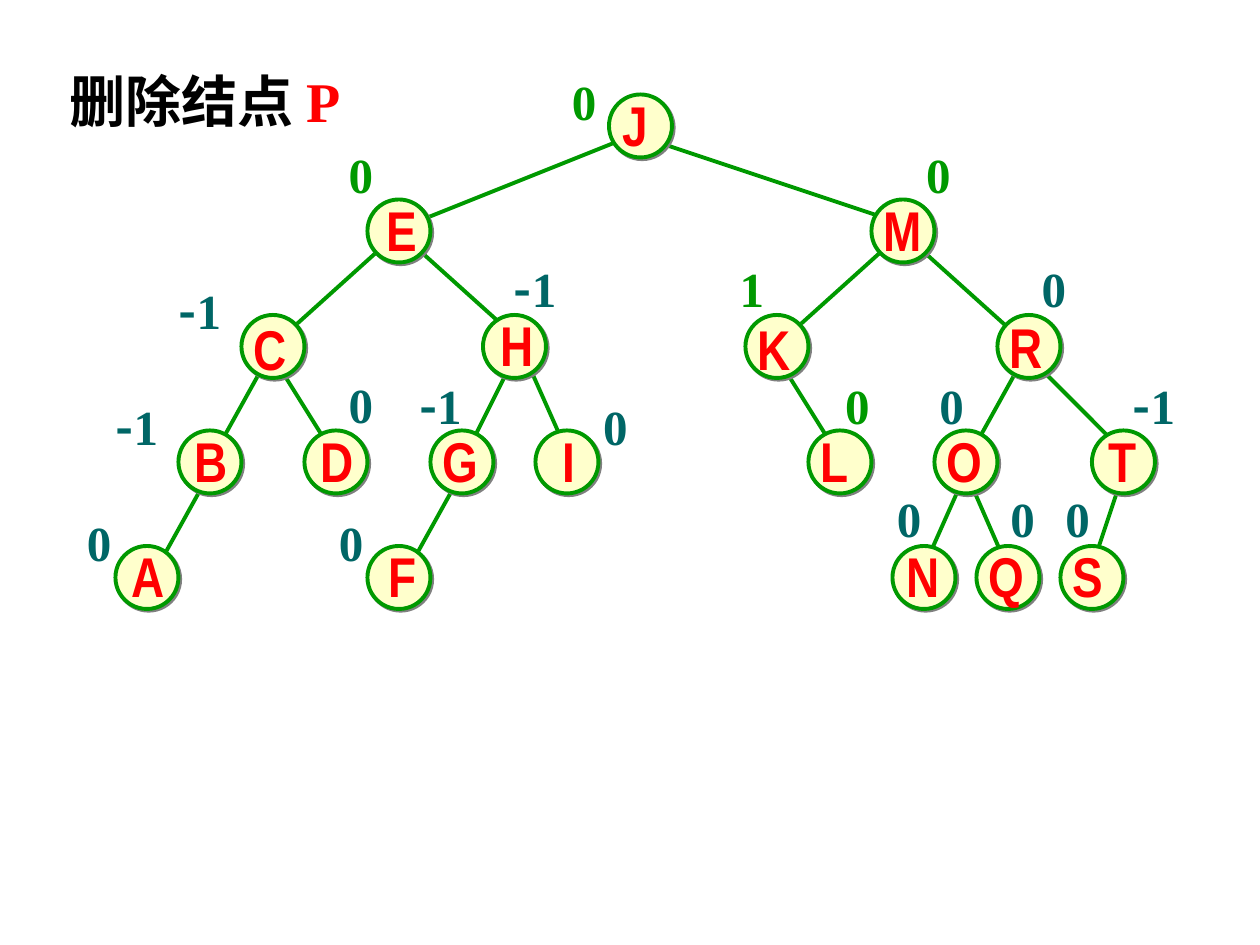
from dataclasses import dataclass

from lxml import etree
from pptx import Presentation
from pptx import util as u
from pptx.dml.color import RGBColor
from pptx.enum import shapes, text
from pptx.oxml import ns


@dataclass(frozen=True)
class Theme:
    edge: str = "009900"
    disc: str = "FFFFCC"
    shadow: str = "808080"
    letter: str = "FF0000"
    title: str = "000000"
    balanced: str = "009900"
    changed: str = "006666"
    serif: str = "Times New Roman"
    narrow: str = "Arial Narrow"
    cjk: str = "Noto Sans CJK SC"
    large: int = 32
    small: int = 28
    stroke: float = 2.25


@dataclass(frozen=True)
class Node:
    """Centre in grid units; balance label position and letter nudge in cm."""
    letter: str
    x: int
    level: int
    balance: str
    balance_at: tuple
    nudge: tuple = (0, 0)
    color: str = Theme.changed


THEME = Theme()
UNIT = 2.54 / 12  # the tree sits on a grid of twelfths of an inch
RADIUS = 3
LEVELS = (12, 22, 33, 44, 55)
LETTER_WIDTHS = {"E": 1.12, "F": 1.07, "G": 1.22, "I": 0.76, "J": 1.02, "L": 1.07,
                 "M": 1.27, "O": 1.22, "Q": 1.22, "S": 1.12, "T": 1.07}
BALANCE_WIDTHS = {"0": 0.99, "1": 0.99, "-1": 1.6}
GREEN = THEME.balanced

NODES = (
    Node("A", 14, 4, "0", (1.5, 10.21), (0.08, 0)),
    Node("B", 20, 3, "-1", (2.08, 7.87), (0.08, 0)),
    Node("C", 26, 2, "-1", (3.35, 5.54), (0, 0.08)),
    Node("D", 32, 3, "0", (6.78, 7.42), (0.08, 0)),
    Node("E", 38, 1, "0", (6.78, 2.79), (0.13, 0), GREEN),
    Node("F", 38, 4, "0", (6.58, 10.21), (0.18, 0)),
    Node("G", 44, 3, "-1", (8.2, 7.44)),
    Node("H", 49, 2, "-1", (10.11, 5.08), (0.1, 0)),
    Node("I", 54, 3, "0", (11.91, 7.87), (0.3, 0)),
    Node("J", 61, 0, "0", (11.28, 1.32), (0.03, 0), GREEN),
    Node("K", 74, 2, "1", (14.66, 5.08), (0, 0.08), GREEN),
    Node("L", 80, 3, "0", (16.79, 7.44), (0, 0), GREEN),
    Node("M", 86, 1, "0", (18.42, 2.79), (0, 0), GREEN),
    Node("N", 88, 4, "0", (17.83, 9.73), (0.03, 0)),
    Node("O", 92, 3, "0", (18.69, 7.44)),
    Node("Q", 96, 4, "0", (20.12, 9.73)),
    Node("R", 98, 2, "0", (20.75, 5.08), (0, 0.03)),
    Node("S", 104, 4, "0", (21.23, 9.73)),
    Node("T", 107, 3, "-1", (22.58, 7.44), (0.08, 0)),
)

# Ends of each branch in grid units, parent first
EDGES = (
    (60, 13, 40, 21), (61, 13, 85, 21),
    (37, 23, 27, 32), (39, 23, 49, 32), (85, 23, 75, 32), (88, 24, 98, 33),
    (25, 35, 20, 44), (26, 34, 31, 42), (49, 34, 44, 44), (50, 34, 54, 43),
    (74, 34, 79, 42), (97, 35, 92, 44), (98, 34, 106, 42),
    (20, 45, 15, 54), (44, 45, 39, 54), (92, 45, 88, 54), (92, 45, 95.5, 53),
    (107, 45, 104, 54),
)


def grid(value):
    return u.Cm(value * UNIT)


def set_stroke(line):
    line.color.rgb = RGBColor.from_string(THEME.edge)
    line.width = u.Pt(THEME.stroke)


def add_edge(page, ends):
    edge = page.shapes.add_connector(shapes.MSO_CONNECTOR.STRAIGHT, *map(grid, ends))
    set_stroke(edge.line)
    etree.SubElement(edge._element.spPr, ns.qn("a:effectLst"))


def add_disc(page, node):
    disc = page.shapes.add_shape(
        shapes.MSO_SHAPE.OVAL, grid(node.x - RADIUS), grid(LEVELS[node.level] - RADIUS),
        grid(2 * RADIUS), grid(2 * RADIUS))
    disc.fill.solid()
    disc.fill.fore_color.rgb = RGBColor.from_string(THEME.disc)
    set_stroke(disc.line)
    disc.shadow.inherit = False
    effects = disc._element.spPr.find(ns.qn("a:effectLst"))
    shadow = etree.SubElement(effects, ns.qn("a:outerShdw"), dist=str(u.Pt(1.4)),
                              dir="2700000", algn="ctr", rotWithShape="0")
    etree.SubElement(shadow, ns.qn("a:srgbClr"), val=THEME.shadow)


def write_spans(box, size, spans):
    """Fill a box with one unwrapped line of (text, font, colour) spans."""
    frame = box.text_frame
    settings = {"word_wrap": False, "auto_size": text.MSO_AUTO_SIZE.SHAPE_TO_FIT_TEXT,
                "vertical_anchor": text.MSO_ANCHOR.TOP}
    for name, value in settings.items():
        setattr(frame, name, value)
    para = frame.paragraphs[0]
    para.alignment = text.PP_ALIGN.LEFT
    for words, font, color in spans:
        span = para.add_run()
        span.text = words
        for name, value in {"name": font, "size": u.Pt(size), "bold": True}.items():
            setattr(span.font, name, value)
        span.font.color.rgb = RGBColor.from_string(color)
        etree.SubElement(span._r.get_or_add_rPr(), ns.qn("a:ea"), typeface=THEME.cjk)


def add_letter(page, node):
    right, down = node.nudge
    box = page.shapes.add_textbox(
        grid(node.x - RADIUS) + u.Cm(right),
        grid(LEVELS[node.level] - RADIUS - 1) + u.Cm(down),
        u.Cm(LETTER_WIDTHS.get(node.letter, 1.17)), u.Cm(1.63))
    write_spans(box, THEME.large, [(node.letter, THEME.narrow, THEME.letter)])


def add_balance(page, node):
    left, top = node.balance_at
    box = page.shapes.add_textbox(u.Cm(left), u.Cm(top),
                                  u.Cm(BALANCE_WIDTHS[node.balance]), u.Cm(1.45))
    write_spans(box, THEME.small,
                [(sign, THEME.cjk if sign == "-" else THEME.serif, node.color)
                 for sign in node.balance])


def set_title(page):
    title = page.shapes.title
    place = {"left": 1.14, "top": 1.22, "width": 5.99, "height": 1.63}
    for name, value in place.items():
        setattr(title, name, u.Cm(value))
    write_spans(title, THEME.large, [("删除结点 ", THEME.serif, THEME.title),
                                     ("P", THEME.serif, THEME.letter)])


def main():
    deck = Presentation()
    deck.slide_width, deck.slide_height = u.Cm(25.4), u.Cm(19.05)
    page = deck.slides.add_slide(deck.slide_layouts[5])
    set_title(page)
    for ends in EDGES:
        add_edge(page, ends)
    for add_part in (add_disc, add_letter, add_balance):
        for node in NODES:
            add_part(page, node)
    deck.save("out.pptx")


if __name__ == "__main__":
    main()
